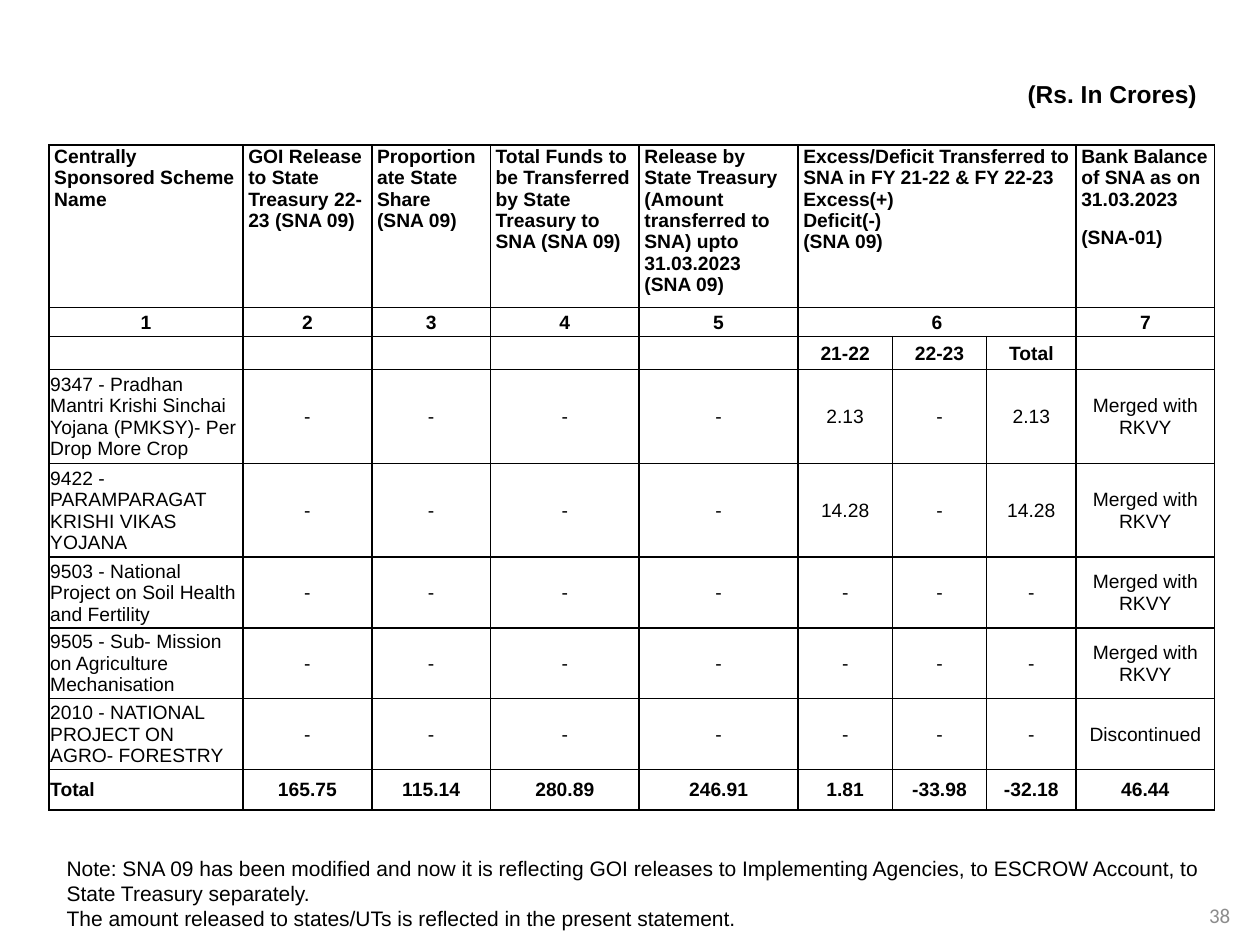
from dataclasses import dataclass

from lxml import etree
from pptx import Presentation
from pptx import util as u
from pptx.dml import color
from pptx.enum import text
from pptx.oxml import ns


@dataclass(frozen=True)
class Theme:
    ink: str = "000000"
    muted: str = "8C8C8C"
    font: str = "Arial"
    number_font: str = "Calibri"
    unit_size: float = 14
    note_size: float = 12
    table_size: float = 11
    border: float = 1


THEME = Theme()
LEFT, CENTER, RIGHT = text.PP_ALIGN.LEFT, text.PP_ALIGN.CENTER, text.PP_ALIGN.RIGHT
TOP, MIDDLE, BOTTOM = text.MSO_ANCHOR.TOP, text.MSO_ANCHOR.MIDDLE, text.MSO_ANCHOR.BOTTOM

COLUMN_WIDTHS = [110.9, 73.6, 67.8, 85, 90.8, 53.9, 53.9, 51.1, 79.2]
ROW_HEIGHTS = [93, 16.6, 18.9, 53.6, 53.6, 40.4, 40.4, 40.4, 23.4]
HEADINGS = [
    "Centrally Sponsored Scheme Name",
    "GOI Release to State Treasury 22-23 (SNA 09)",
    "Proportionate State Share\v(SNA 09)",
    "Total Funds to be Transferred by State Treasury to SNA (SNA 09)",
    "Release by State Treasury (Amount transferred to SNA) upto 31.03.2023 (SNA 09)",
    "Excess/Deficit Transferred to SNA in FY 21-22 & FY 22-23\nExcess(+)\nDeficit(-)\n(SNA 09)",
    "", "",
    "Bank Balance of SNA as on 31.03.2023\n(SNA-01)",
]
NUMBERS = ["1", "2", "3", "4", "5", "6", "", "", "7"]
YEARS = [""] * 5 + ["21-22", "22-23", "Total", ""]
NONE = ["-"] * 4
MERGED = "Merged with RKVY"
SCHEMES = [
    ["9347 - Pradhan Mantri Krishi Sinchai Yojana (PMKSY)- Per Drop More Crop",
     *NONE, "2.13", "-", "2.13", MERGED],
    ["9422 - PARAMPARAGAT KRISHI VIKAS YOJANA", *NONE, "14.28", "-", "14.28", MERGED],
    ["9503 - National Project on Soil Health and Fertility", *NONE, "-", "-", "-", MERGED],
    ["9505 - Sub- Mission on Agriculture Mechanisation", *NONE, "-", "-", "-", MERGED],
    ["2010 - NATIONAL PROJECT ON AGRO- FORESTRY", *NONE, "-", "-", "-", "Discontinued"],
]
TOTALS = ["Total", "165.75", "115.14", "280.89", "246.91", "1.81", "-33.98", "-32.18", "46.44"]
ROWS = [HEADINGS, NUMBERS, YEARS, *SCHEMES, TOTALS]
MERGED_ROWS = (0, 1)
BALANCE_COLUMN = len(HEADINGS) - 1


class SlideBuilder:
    """Hold the theme and the current slide, and add styled elements to it."""

    def __init__(self, slide, theme):
        self.slide = slide
        self.theme = theme

    def style(self, paragraph, size, bold=False, align=LEFT, font=None, ink=None):
        paragraph.alignment = align
        for run in paragraph.runs:
            run.font.size = u.Pt(size)
            run.font.bold = bold
            run.font.name = font or self.theme.font
            run.font.color.rgb = color.RGBColor.from_string(ink or self.theme.ink)

    def text_box(self, content, left, top, width, height, size, anchor=TOP, **look):
        shape = self.slide.shapes.add_textbox(*map(u.Pt, (left, top, width, height)))
        frame = shape.text_frame
        frame.word_wrap = True
        frame.vertical_anchor = anchor
        frame.text = content
        for paragraph in frame.paragraphs:
            self.style(paragraph, size, **look)

    def borders(self, cell):
        properties = cell._tc.get_or_add_tcPr()
        for side in ("lnL", "lnR", "lnT", "lnB"):
            line = etree.SubElement(properties, ns.qn(f"a:{side}"), w=str(u.Pt(self.theme.border)))
            fill = etree.SubElement(line, ns.qn("a:solidFill"))
            etree.SubElement(fill, ns.qn("a:srgbClr"), val=self.theme.ink)

    def cell(self, cell, content, inset, anchor, **look):
        self.borders(cell)
        cell.fill.background()
        cell.margin_left = cell.margin_right = u.Pt(inset)
        cell.margin_top, cell.margin_bottom = u.Pt(0.5), u.Pt(0)
        cell.vertical_anchor = anchor
        cell.text_frame.text = content
        for paragraph in cell.text_frame.paragraphs:
            self.style(paragraph, self.theme.table_size, **look)
            if not content:
                etree.SubElement(paragraph._p, ns.qn("a:endParaRPr"),
                                 sz=str(int(self.theme.table_size * 100)))

    def table(self, left, top, rows, widths, heights):
        shape = self.slide.shapes.add_table(
            len(rows), len(widths), u.Pt(left), u.Pt(top), u.Pt(sum(widths)), u.Pt(sum(heights)))
        table = shape.table
        table.first_row = table.horz_banding = False
        for column, width in zip(table.columns, widths):
            column.width = u.Pt(width)
        for row, height in zip(table.rows, heights):
            row.height = u.Pt(height)
        for i, values in enumerate(rows):
            heading = i == 0
            bold = i < 3 or i == len(rows) - 1
            for j, value in enumerate(values):
                align = LEFT if heading or (j == 0 and i > 2) else CENTER
                self.cell(table.cell(i, j), value, 3 if i < 2 else 0.7,
                          TOP if heading else MIDDLE, bold=bold, align=align)
        return table


def main():
    presentation = Presentation()
    presentation.slide_width, presentation.slide_height = u.Pt(720), u.Pt(540)
    slide = presentation.slides.add_slide(presentation.slide_layouts[6])
    builder = SlideBuilder(slide, THEME)

    builder.text_box("(Rs. In Crores)", 31, 24.5, 660, 41, THEME.unit_size,
                     anchor=BOTTOM, bold=True, align=RIGHT)
    table = builder.table(28, 82.8, ROWS, COLUMN_WIDTHS, ROW_HEIGHTS)
    for row in MERGED_ROWS:
        table.cell(row, 5).merge(table.cell(row, 7))
    table.cell(0, BALANCE_COLUMN).text_frame.paragraphs[0].space_after = u.Pt(10)
    builder.text_box("38", 682.6, 508.3, 28.8, 28.8, THEME.note_size, anchor=MIDDLE,
                     align=CENTER, font=THEME.number_font, ink=THEME.muted)
    builder.text_box(
        "Note: SNA 09 has been modified and now it is reflecting GOI releases to Implementing "
        "Agencies, to ESCROW Account, to State Treasury separately.\n"
        "The amount released to states/UTs is reflected in the present statement.",
        31, 485.3, 664, 51, THEME.note_size)
    presentation.save("out.pptx")


if __name__ == "__main__":
    main()
